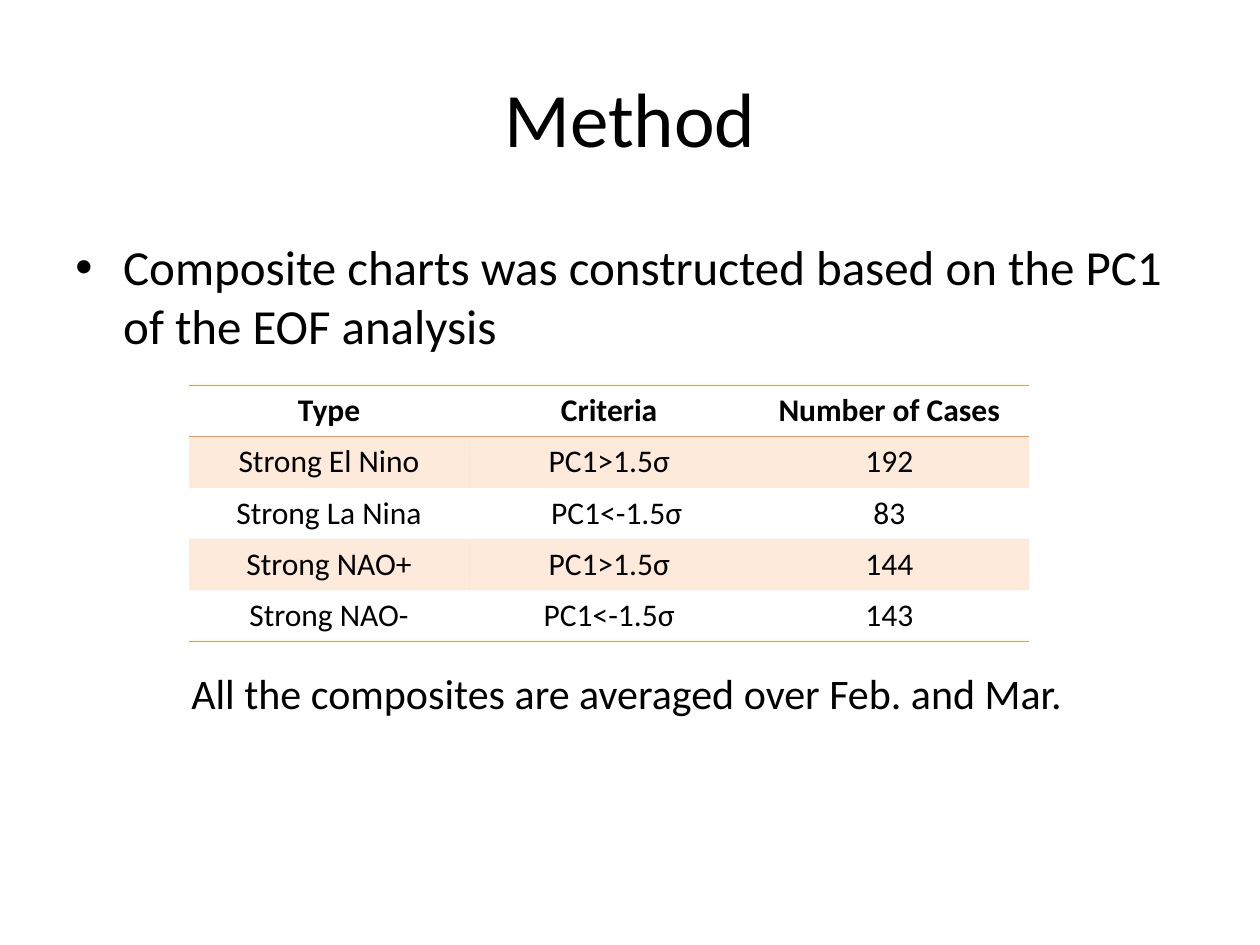
import pptx
import pptx.util
import pptx.dml.color
import pptx.enum.text
import pptx.oxml.ns
from lxml import etree
from pptx.util import Inches

COLORS = {"text": "000000", "accent": "F79646"}
FONT = "Calibri"
PLAIN_TABLE_STYLE = "{2D5ABB26-0587-4C30-8999-92F81FD0307C}"
CASES = [
    ("Type", "Criteria", "Number of Cases"),
    ("Strong El Nino", "PC1>1.5σ", "192"),
    ("Strong La Nina", "PC1<-1.5σ", "83"),
    ("Strong NAO+", "PC1>1.5σ", "144"),
    ("Strong NAO-", "PC1<-1.5σ", "143"),
]


def add_xml(parent, tag, **attributes):
    return etree.SubElement(parent, pptx.oxml.ns.qn(tag), attributes)


def write(frame, text, size=18, bold=False, centered=False, bullet=None, hanging=0):
    """Fill the first paragraph of a text frame; hanging is an indent in inches."""
    paragraph = frame.paragraphs[0]
    properties = paragraph._p.get_or_add_pPr()
    if hanging:
        properties.set("marL", str(Inches(hanging)))
        properties.set("indent", str(Inches(-hanging)))
    if bullet:
        add_xml(properties, "a:buFont", typeface="Arial")
        add_xml(properties, "a:buChar", char=bullet)
    if centered:
        paragraph.alignment = pptx.enum.text.PP_ALIGN.CENTER
    run = paragraph.add_run()
    run.text = text
    run.font.name = FONT
    run.font.size = pptx.util.Pt(size)
    run.font.bold = bold
    run.font.color.rgb = pptx.dml.color.RGBColor.from_string(COLORS["text"])


def add_text(slide, left, top, width, height, text, middle=False, **text_format):
    box = slide.shapes.add_textbox(Inches(left), Inches(top), Inches(width), Inches(height))
    box.text_frame.word_wrap = True
    if middle:
        box.text_frame.vertical_anchor = pptx.enum.text.MSO_ANCHOR.MIDDLE
    write(box.text_frame, text, **text_format)


def add_rule(cell, side):
    """Draw an accent line on a cell's top (lnT) or bottom (lnB)."""
    line = add_xml(cell._tc.get_or_add_tcPr(), "a:" + side, w=str(pptx.util.Pt(1)))
    add_xml(add_xml(line, "a:solidFill"), "a:srgbClr", val=COLORS["accent"])


def tint(cell):
    cell.fill.solid()
    cell.fill.fore_color.rgb = pptx.dml.color.RGBColor.from_string(COLORS["accent"])
    color = cell._tc.tcPr.find(".//" + pptx.oxml.ns.qn("a:srgbClr"))
    add_xml(color, "a:alpha", val="20000")


def add_case_table(slide):
    last = len(CASES) - 1
    table = slide.shapes.add_table(
        len(CASES), len(CASES[0]), Inches(1.5), Inches(3.06), Inches(6.67), Inches(2.03)
    ).table
    table.horz_banding = False
    style = table._tbl.tblPr.find(pptx.oxml.ns.qn("a:tableStyleId"))
    style.text = PLAIN_TABLE_STYLE
    for r, case in enumerate(CASES):
        for c, value in enumerate(case):
            cell = table.cell(r, c)
            write(cell.text_frame, value, bold=r == 0, centered=True)
            if r == 0:
                add_rule(cell, "lnT")
            if r in (0, last):
                add_rule(cell, "lnB")
            if r % 2:
                tint(cell)
            else:
                cell.fill.background()
    # The La Nina criterion sits slightly right of centre.
    table.cell(2, 1).margin_left = Inches(0.22)


def main():
    deck = pptx.Presentation()
    deck.slide_width, deck.slide_height = Inches(10), Inches(7.5)
    slide = deck.slides.add_slide(deck.slide_layouts[6])
    add_text(slide, 0.5, 0.3, 9, 1.25, "Method", middle=True, size=44, centered=True)
    add_text(slide, 0.5, 1.83, 9, 1.42,
             "Composite charts was constructed based on the PC1 of the EOF analysis",
             size=28, bullet="•", hanging=0.38)
    add_case_table(slide)
    add_text(slide, 1.42, 5.25, 7.25, 0.58,
             "All the composites are averaged over Feb. and Mar.",
             size=24, hanging=0.38)
    deck.save("out.pptx")


if __name__ == "__main__":
    main()
